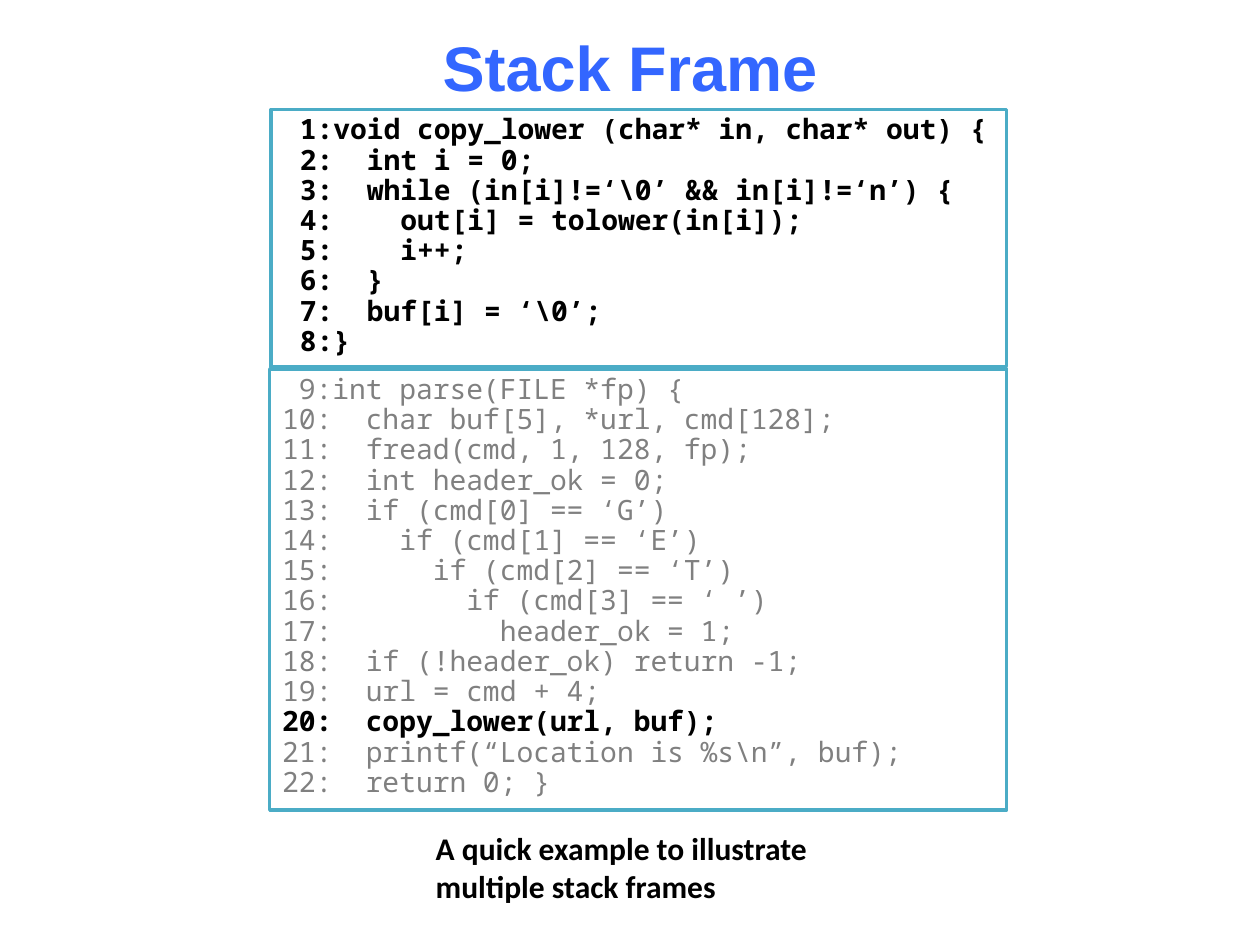
from pptx import Presentation
from pptx.dml.color import RGBColor
from pptx.enum.shapes import MSO_SHAPE
from pptx.enum.text import MSO_ANCHOR, MSO_AUTO_SIZE, PP_ALIGN
from pptx.util import Inches, Pt

TITLE = "Stack Frame"
CAPTION = "A quick example to illustrate multiple stack frames"

COPY_LOWER = [
    "void copy_lower (char* in, char* out) {",
    "  int i = 0;",
    r"  while (in[i]!=‘\0’ && in[i]!=‘n’) {",
    "    out[i] = tolower(in[i]);",
    "    i++;",
    "  }",
    r"  buf[i] = ‘\0’;",
    "}",
]
PARSE = [
    "int parse(FILE *fp) {",
    "  char buf[5], *url, cmd[128];",
    "  fread(cmd, 1, 128, fp);",
    "  int header_ok = 0;",
    "  if (cmd[0] == ‘G’)",
    "    if (cmd[1] == ‘E’)",
    "      if (cmd[2] == ‘T’)",
    "        if (cmd[3] == ‘ ’)",
    "          header_ok = 1;",
    "  if (!header_ok) return -1;",
    "  url = cmd + 4;",
    "  copy_lower(url, buf);",
    r"  printf(“Location is %s\n”, buf);",
    "  return 0; }",
]
ACTIVE_LINES = {*range(1, len(COPY_LOWER) + 1), 20}

BLUE, TEAL, BLACK, GRAY, WHITE = "3366FF", "4BACC6", "000000", "808080", "FFFFFF"


def rgb(value):
    return RGBColor.from_string(value)


def add_run(paragraph, text, font, size, color, bold):
    run = paragraph.add_run()
    run.text = text
    run.font.name = font
    run.font.size = Pt(size)
    run.font.bold = bold
    run.font.color.rgb = rgb(color)


def add_code_box(slide, first_number, code, left, top, width, height):
    """Add a framed listing with line numbers; active lines are bold black."""
    box = slide.shapes.add_shape(
        MSO_SHAPE.RECTANGLE, *map(Inches, (left, top, width, height)))
    box.shadow.inherit = False
    box.fill.solid()
    box.fill.fore_color.rgb = rgb(WHITE)
    box.line.color.rgb = rgb(TEAL)
    box.line.width = Pt(2)
    frame = box.text_frame
    frame.word_wrap = True
    frame.auto_size = MSO_AUTO_SIZE.SHAPE_TO_FIT_TEXT
    frame.vertical_anchor = MSO_ANCHOR.TOP
    for number, line in enumerate(code, first_number):
        paragraph = (frame.paragraphs[0] if number == first_number
                     else frame.add_paragraph())
        paragraph.alignment = PP_ALIGN.LEFT
        paragraph.line_spacing = 0.9
        active = number in ACTIVE_LINES
        add_run(paragraph, f"{number:>2}:{line}", "Noto Sans Mono", 16,
                BLACK if active else GRAY, active)


prs = Presentation()
prs.slide_width, prs.slide_height = Inches(10), Inches(7.5)
slide = prs.slides.add_slide(prs.slide_layouts[0])
subtitle = slide.placeholders[1].element
subtitle.getparent().remove(subtitle)

title = slide.shapes.title
title.left, title.top = Inches(0.75), Inches(-0.28)
title.width, title.height = Inches(8.5), Inches(1.61)
title.text_frame.vertical_anchor = MSO_ANCHOR.MIDDLE
heading = title.text_frame.paragraphs[0]
heading.alignment = PP_ALIGN.CENTER
add_run(heading, TITLE, "Arial", 36, BLUE, True)

add_code_box(slide, len(COPY_LOWER) + 1, PARSE, 2.14, 2.93, 5.85, 3.5)
add_code_box(slide, 1, COPY_LOWER, 2.15, 0.87, 5.84, 2.04)

caption = slide.shapes.add_textbox(
    Inches(3.36), Inches(6.53), Inches(3.75), Inches(0.71)).text_frame
caption.word_wrap = True
caption.auto_size = MSO_AUTO_SIZE.SHAPE_TO_FIT_TEXT
add_run(caption.paragraphs[0], CAPTION, "Calibri", 18, BLACK, True)

prs.save("out.pptx")
